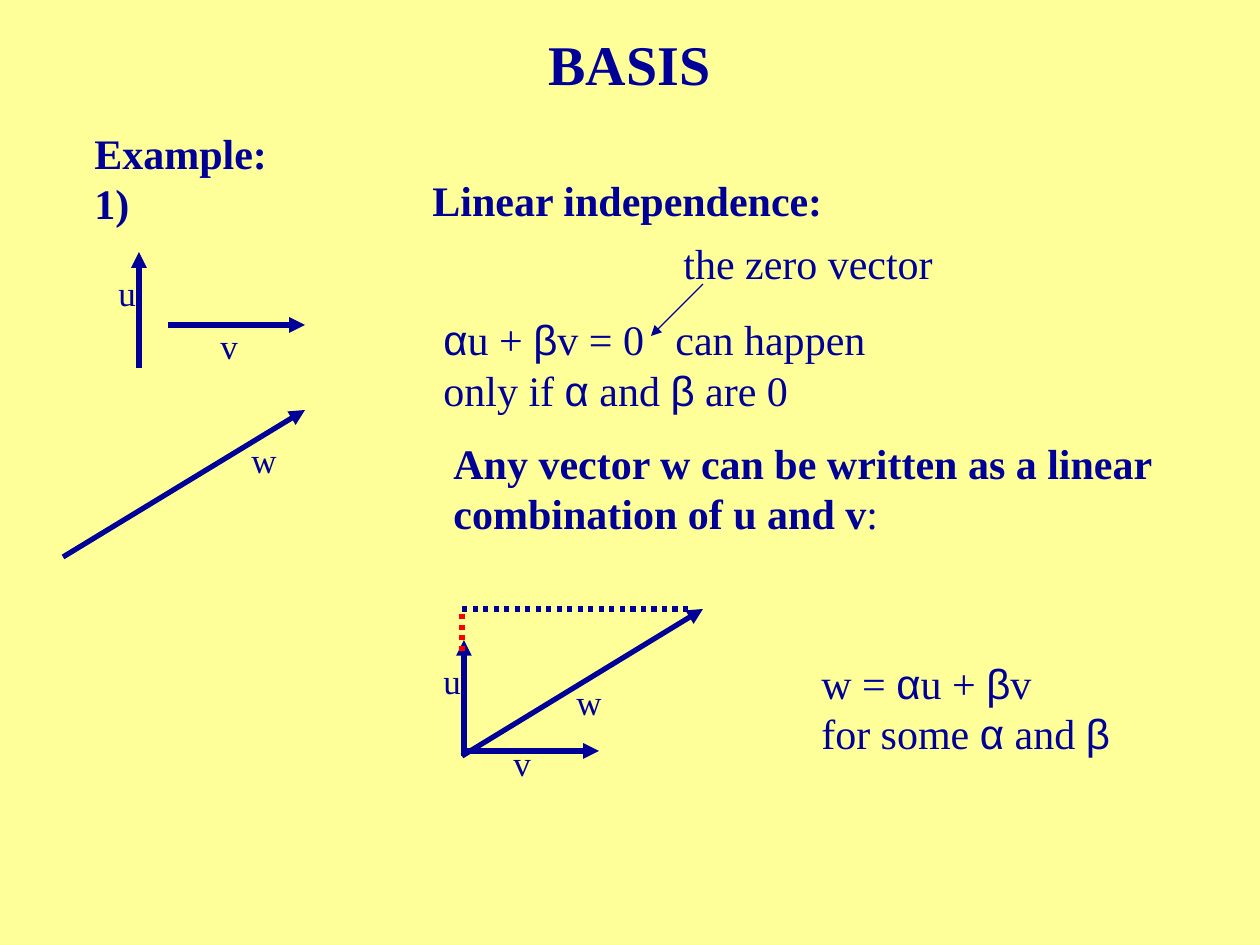
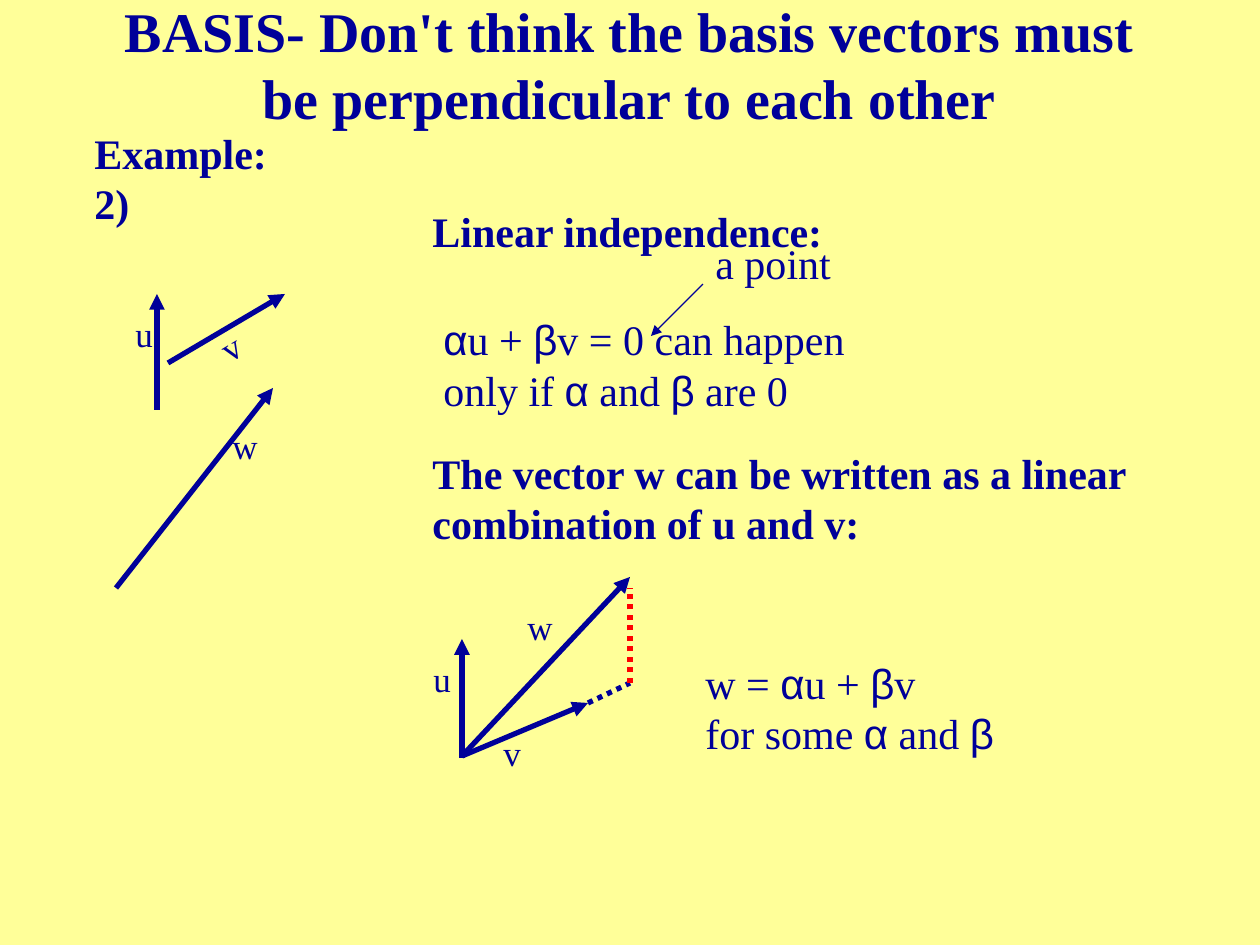
from itertools import groupby

from lxml.etree import SubElement
from pptx import Presentation
from pptx.dml.color import RGBColor
from pptx.enum.dml import MSO_LINE_DASH_STYLE as Dash
from pptx.enum.shapes import MSO_CONNECTOR as Conn
from pptx.enum.text import MSO_ANCHOR as Anchor, MSO_AUTO_SIZE as Fit, PP_ALIGN as Align
from pptx.oxml.ns import qn
from pptx.util import Emu, Pt

PX = 914400 / 126
NAVY, RED, CREAM = "000099", "FF0000", "FFFF99"
SERIF, SANS = "Times New Roman", "Arial"
GREEK = "αβ"
RESULT = ["w = αu + βv", "for some α and β"]
POINTER = (703, 284, 651, 336)

# Texts: left, top, width, height. Arrows and dots: from x, y to x, y.
# Labels: text, left, top, rotation.
SLIDES = [
    {
        "title": "BASIS",
        "example": (["Example:", "1)"], (82, 121, 338, 113)),
        "heading": (["Linear independence:"], (420, 168, 609, 63)),
        "zero": (["the zero vector", "αu + βv = 0\tcan happen\vonly if α and β are 0"],
                 (431, 231, 525, 190)),
        "indent": 240,
        "claim": (["Any vector w can be written as a linear combination of u and v:"],
                  (441, 431, 777, 113)),
        "plain": ":",
        "result": (809, 651, 315, 113),
        "arrows": [(139, 368, 139, 252), (168, 325, 305, 325), (63, 557, 305, 410),
                   (464, 756, 464, 640), (462, 751, 599, 751), (462, 756, 703, 609)],
        "dots": [(RED, 462, 651, 462, 609), (NAVY, 462, 609, 693, 609)],
        "labels": [("u", 106, 265, 0), ("v", 208, 318, 0), ("w", 239, 432, 0),
                   ("u", 431, 653, 0), ("v", 501, 735, 0), ("w", 564, 674, 0)],
    },
    {
        "title": "BASIS- Don't think the basis vectors must be perpendicular to each other",
        "example": (["Example:", "2)"], (82, 121, 338, 113)),
        "heading": (["Linear independence:"], (420, 199, 609, 63)),
        "zero": (["a point", "αu + βv = 0 can happen\vonly if α and β are 0"],
                 (431, 231, 525, 190)),
        "indent": 272,
        "claim": (["The vector w can be written as a linear combination of u and v:"],
                  (420, 441, 777, 113)),
        "plain": "",
        "result": (693, 651, 315, 113),
        "arrows": [(157, 410, 157, 294), (168, 363, 285, 294), (116, 588, 273, 388),
                   (462, 758, 462, 639), (462, 756, 588, 703), (462, 756, 630, 577)],
        "dots": [(NAVY, 588, 703, 630, 683), (RED, 630, 683, 630, 588)],
        "labels": [("u", 123, 306, 0), ("v", 209, 320, 329), ("w", 220, 418, 0),
                   ("u", 421, 651, 0), ("v", 491, 725, 0), ("w", 515, 599, 0)],
    },
]


def px(*nums):
    return [Emu(round(n * PX)) for n in nums]


def color(code):
    return RGBColor.from_string(code)


def style(font, size, bold=False, name=SERIF):
    font.name, font.size, font.bold = name, Pt(size), bold
    font.color.rgb = color(NAVY)


def fill(par, text, size, bold):
    """Write text as runs, with Greek letters in the sans font."""
    for num, line in enumerate(text.split("\v")):
        if num:
            par.add_line_break()
        for greek, chars in groupby(line, lambda c: c in GREEK):
            run = par.add_run()
            run.text = "".join(chars)
            style(run.font, size, bold, SANS if greek else SERIF)


def write(slide, lines, box, size=24, bold=False, wrap=True):
    shape = slide.shapes.add_textbox(*px(*box))
    frame = shape.text_frame
    frame.word_wrap = wrap
    for num, text in enumerate(lines):
        par = frame.add_paragraph() if num else frame.paragraphs[0]
        fill(par, text, size, bold)
    return shape


def draw(slide, ends, width=3, code=NAVY, dotted=False):
    line = slide.shapes.add_connector(Conn.STRAIGHT, *px(*ends))
    line.line.width = Pt(width)
    line.line.color.rgb = color(code)
    if dotted:
        line.line.dash_style = Dash.ROUND_DOT
    else:
        SubElement(line.line._get_or_add_ln(), qn("a:tailEnd"), type="triangle")
    SubElement(line._element.spPr, qn("a:effectLst"))


def head(slide, text):
    title = slide.shapes.title
    title.left, title.top, title.width, title.height = px(94, 32, 1071, 63)
    frame = title.text_frame
    frame.text = text
    frame.auto_size, frame.vertical_anchor = Fit.NONE, Anchor.MIDDLE
    par = frame.paragraphs[0]
    par.alignment = Align.CENTER
    style(par.runs[0].font, 32, True)


def equate(slide, data):
    """Write the equation with its indented remark above."""
    note, rule = write(slide, *data["zero"]).text_frame.paragraphs
    note._p.get_or_add_pPr().set("marL", str(px(data["indent"])[0]))
    note._p.pPr.set("indent", "0")
    rule.space_before = Pt(15)
    tabs = SubElement(rule._p.get_or_add_pPr(), qn("a:tabLst"))
    SubElement(tabs, qn("a:tab"), pos=str(px(232)[0]), algn="l")


def build(deck, data):
    slide = deck.slides.add_slide(deck.slide_layouts[5])
    head(slide, data["title"])
    write(slide, *data["example"], bold=True)
    write(slide, *data["heading"], bold=True)
    equate(slide, data)
    claim = write(slide, *data["claim"], bold=True).text_frame.paragraphs[0]
    if data["plain"]:
        run = claim.runs[0]
        run.text = run.text.removesuffix(data["plain"])
        fill(claim, data["plain"], 24, False)
    write(slide, RESULT, data["result"], wrap=False)
    draw(slide, POINTER, 0.75)
    for ends in data["arrows"]:
        draw(slide, ends)
    for code, *ends in data["dots"]:
        draw(slide, ends, code=code, dotted=True)
    for text, left, top, turn in data["labels"]:
        width = 50 if text == "w" else 43
        write(slide, [text], (left, top, width, 55), 20, wrap=False).rotation = turn


def main():
    deck = Presentation()
    deck.slide_width, deck.slide_height = px(1260, 945)
    back = deck.slide_master.background.fill
    back.solid()
    back.fore_color.rgb = color(CREAM)
    for data in SLIDES:
        build(deck, data)
    deck.save("out.pptx")


if __name__ == "__main__":
    main()
